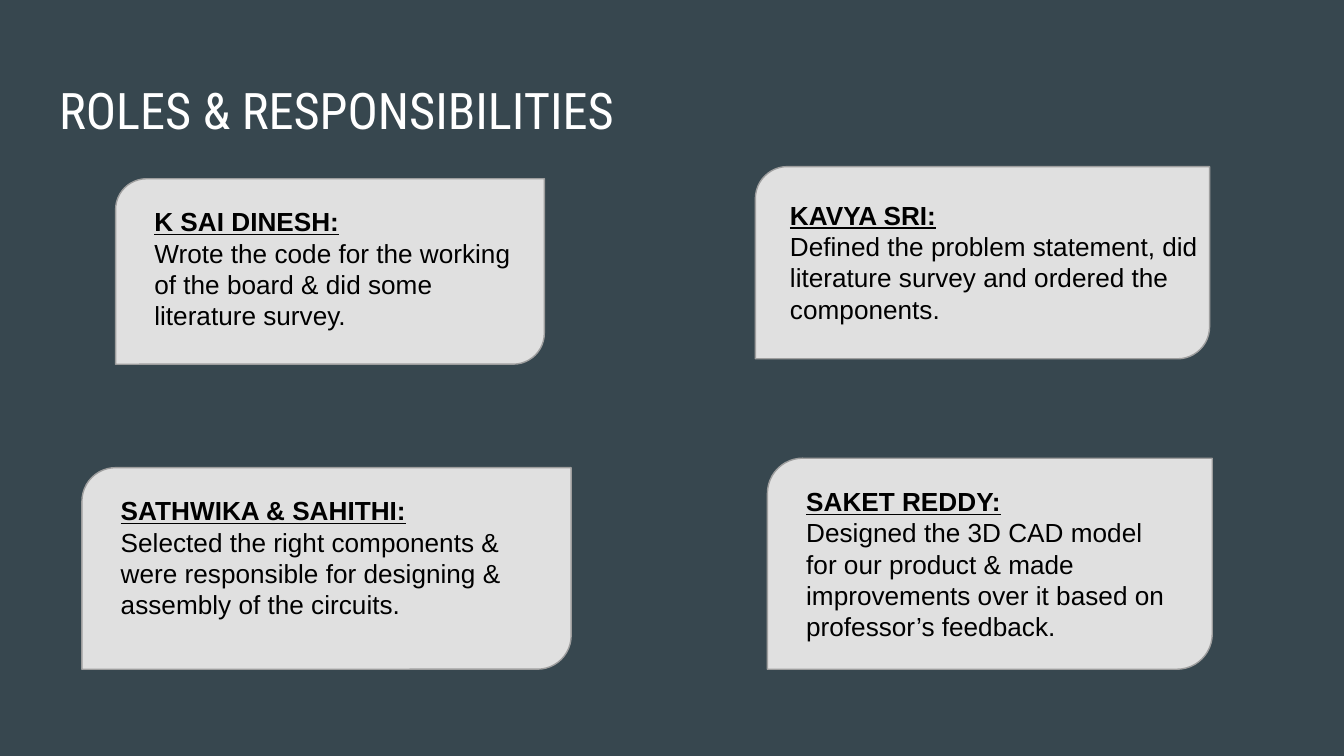
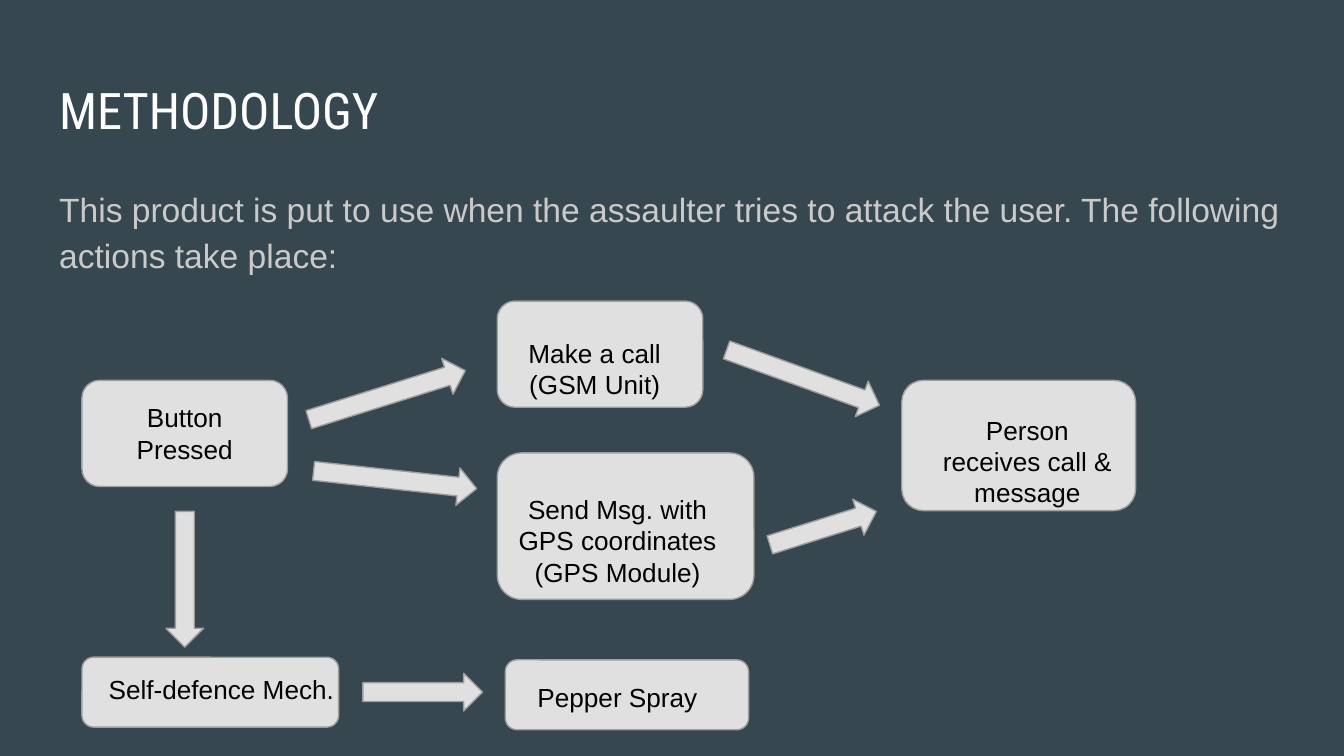
from dataclasses import dataclass

from pptx import Presentation
from pptx.dml.color import RGBColor
from pptx.enum.shapes import MSO_SHAPE
from pptx.enum.text import MSO_ANCHOR, MSO_AUTO_SIZE, PP_ALIGN
from pptx.util import Inches, Pt


@dataclass(frozen=True)
class Theme:
    background: RGBColor = RGBColor.from_string("37474F")
    panel: RGBColor = RGBColor.from_string("E0E0E0")
    outline: RGBColor = RGBColor.from_string("9E9E9E")
    title: RGBColor = RGBColor.from_string("FFFFFF")
    body: RGBColor = RGBColor.from_string("CACACA")
    label: RGBColor = RGBColor.from_string("000000")
    title_font: str = "Roboto Condensed"
    text_font: str = "Arial"
    title_size: int = 27
    body_size: int = 18
    label_size: int = 14
    outline_width: float = 0.75
    inset: float = 0.1


THEME = Theme()
SLIDE_WIDTH = 10
SLIDE_HEIGHT = SLIDE_WIDTH * 9 / 16
TITLE_BOX = (0.34, 0.49, 9.32, 0.63)
BODY_BOX = (0.34, 1.26, 9.32, 3.74)

ROLES_TITLE = "ROLES & RESPONSIBILITIES"
# name, responsibility, card box, text box
ROLES = [
    ("K SAI DINESH:",
     "Wrote the code for the working of the board & did some literature survey.",
     (0.86, 1.33, 3.19, 1.38), (1.05, 1.43, 2.89, 1.38)),
    ("KAVYA SRI:",
     "Defined the problem statement, did literature survey and ordered the components.",
     (5.62, 1.24, 3.38, 1.43), (5.78, 1.38, 3.24, 1.38)),
    ("SATHWIKA & SAHITHI:",
     "Selected the right components & were responsible for designing & assembly of the circuits.",
     (0.61, 3.48, 3.64, 1.5), (0.8, 3.58, 3.31, 1.14)),
    ("SAKET REDDY:",
     "Designed the 3D CAD model for our product & made improvements over it "
     "based on professor’s feedback.",
     (5.71, 3.41, 3.31, 1.57), (5.9, 3.51, 2.89, 1.62)),
]

METHOD_TITLE = "METHODOLOGY"
METHOD_INTRO = ("This product is put to use when the assaulter tries to attack the user. "
                "The following actions take place:")
# lines, alignment, step box, text box
STEPS = [
    (["Button Pressed"], PP_ALIGN.CENTER,
     (0.61, 2.83, 1.53, 0.79), (0.7, 2.89, 1.35, 0.67)),
    (["Make a call", "(GSM Unit)"], PP_ALIGN.CENTER,
     (3.7, 2.24, 1.53, 0.79), (3.75, 2.41, 1.35, 0.67)),
    (["Send Msg. with GPS coordinates", "(GPS Module)"], PP_ALIGN.CENTER,
     (3.7, 3.37, 1.91, 1.09), (3.75, 3.57, 1.69, 0.91)),
    (["Person receives call & message"], PP_ALIGN.CENTER,
     (6.71, 2.83, 1.74, 0.97), (6.88, 2.98, 1.53, 0.67)),
    (["Self-defence Mech."], PP_ALIGN.LEFT,
     (0.61, 4.89, 1.91, 0.52), (0.71, 4.91, 2.01, 0.44)),
    (["Pepper Spray"], PP_ALIGN.LEFT,
     (3.76, 4.91, 1.81, 0.52), (3.9, 4.97, 1.53, 0.44)),
]
ARROW_HEIGHT = 0.28
# left, top, length, rotation in degrees
ARROWS = [
    (2.27, 2.8, 1.22, 342.6),
    (2.33, 3.43, 1.22, 6.2),
    (5.71, 3.79, 0.83, 342.6),
    (5.37, 2.67, 1.21, 19.9),
    (0.87, 4.17, 1.01, 90),
    (2.7, 5.01, 0.89, 0),
]


def inches(lengths):
    return [Inches(length) for length in lengths]


def set_frame(frame, auto_size):
    frame.word_wrap = True
    frame.auto_size = auto_size
    frame.vertical_anchor = MSO_ANCHOR.TOP
    frame.margin_left = frame.margin_right = Inches(THEME.inset)
    frame.margin_top = frame.margin_bottom = Inches(THEME.inset)


def add_run(paragraph, text, font_name, size, color, emphasis=False):
    run = paragraph.add_run()
    run.text = text
    run.font.name = font_name
    run.font.size = Pt(size)
    run.font.color.rgb = color
    run.font.bold = run.font.underline = emphasis


def fill_placeholder(placeholder, box, text, font_name, size, color):
    placeholder.left, placeholder.top, placeholder.width, placeholder.height = inches(box)
    set_frame(placeholder.text_frame, MSO_AUTO_SIZE.NONE)
    paragraph = placeholder.text_frame.paragraphs[0]
    paragraph.alignment = PP_ALIGN.LEFT
    paragraph.space_before = Pt(0)
    add_run(paragraph, text, font_name, size, color)
    return paragraph


def add_titled_slide(presentation, layout_name, title):
    layout = presentation.slide_layouts.get_by_name(layout_name)
    slide = presentation.slides.add_slide(layout)
    fill_placeholder(slide.shapes.title, TITLE_BOX, title,
                     THEME.title_font, THEME.title_size, THEME.title)
    return slide


def add_panel(slide, preset, box, adjustments):
    shape = slide.shapes.add_shape(preset, *inches(box))
    for index, value in enumerate(adjustments):
        shape.adjustments[index] = value
    shape.shadow.inherit = False
    shape.fill.solid()
    shape.fill.fore_color.rgb = THEME.panel
    shape.line.color.rgb = THEME.outline
    shape.line.width = Pt(THEME.outline_width)
    return shape


def add_label(slide, box, lines, alignment=PP_ALIGN.LEFT, heading=False):
    """Add one paragraph per line; a heading makes the first bold and underlined."""
    frame = slide.shapes.add_textbox(*inches(box)).text_frame
    set_frame(frame, MSO_AUTO_SIZE.SHAPE_TO_FIT_TEXT)
    for index, line in enumerate(lines):
        paragraph = frame.add_paragraph() if index else frame.paragraphs[0]
        paragraph.alignment = alignment
        add_run(paragraph, line, THEME.text_font, THEME.label_size, THEME.label,
                emphasis=heading and index == 0)


def build_roles(presentation):
    slide = add_titled_slide(presentation, "Title Only", ROLES_TITLE)
    for name, responsibility, card_box, text_box in ROLES:
        add_panel(slide, MSO_SHAPE.ROUND_2_DIAG_RECTANGLE, card_box, (0.167, 0))
        add_label(slide, text_box, [name, responsibility], heading=True)


def build_methodology(presentation):
    slide = add_titled_slide(presentation, "Title and Content", METHOD_TITLE)
    intro = fill_placeholder(slide.placeholders[1], BODY_BOX, METHOD_INTRO,
                             THEME.text_font, THEME.body_size, THEME.body)
    intro.line_spacing = 1.15
    properties = intro._p.get_or_add_pPr()
    properties.set("marL", "0")
    properties.set("indent", "0")
    namespace = properties.nsmap["a"]
    properties.append(properties.makeelement(f"{{{namespace}}}buNone"))

    for lines, alignment, step_box, text_box in STEPS:
        add_panel(slide, MSO_SHAPE.ROUNDED_RECTANGLE, step_box, (0.167,))
        add_label(slide, text_box, lines, alignment)
    for left, top, length, rotation in ARROWS:
        arrow = add_panel(slide, MSO_SHAPE.RIGHT_ARROW,
                          (left, top, length, ARROW_HEIGHT), (0.5, 0.5))
        arrow.rotation = rotation


def main():
    presentation = Presentation()
    presentation.slide_width = Inches(SLIDE_WIDTH)
    presentation.slide_height = Inches(SLIDE_HEIGHT)
    background = presentation.slide_master.background.fill
    background.solid()
    background.fore_color.rgb = THEME.background
    build_roles(presentation)
    build_methodology(presentation)
    presentation.save("out.pptx")


if __name__ == "__main__":
    main()
